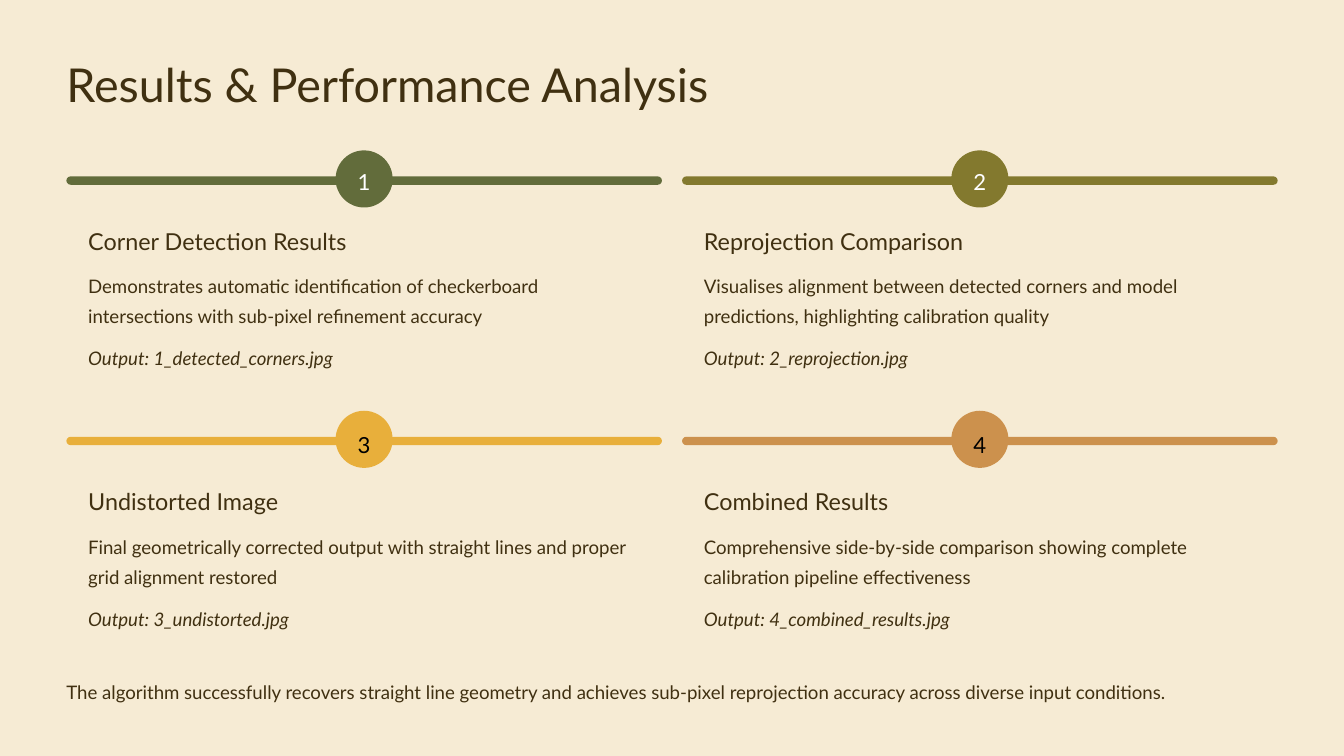
from pptx import Presentation
from pptx.dml.color import RGBColor
from pptx.enum.shapes import MSO_SHAPE
from pptx.enum.text import MSO_ANCHOR, PP_ALIGN
from pptx.util import Inches, Pt

ROUNDED = MSO_SHAPE.ROUNDED_RECTANGLE
TOP = MSO_ANCHOR.TOP
LEFT, CENTER = PP_ALIGN.LEFT, PP_ALIGN.CENTER

THEME = {
    "font": "Lato",
    "paper": "F6EBD4",
    "ink": "403011",
    "light": "FFFFFF",
    "dark": "000000",
    "accents": ["626C3B", "83792E", "E8AF3B", "CC914D"],
    "title": 40,
    "heading": 20,
    "number": 19,
    "body": 16,
}

WIDTH, HEIGHT = 16, 9
MARGIN = 0.79
GUTTER = 0.24
COLUMNS = 2
CARD = (WIDTH - 2 * MARGIN - GUTTER) / COLUMNS
FIRST_ROW, ROW_STEP = 2.1, 3.1
BAR = 0.1
BADGE = 0.68
PADDING = 0.26

RESULTS = [
    ("Corner Detection Results",
     "Demonstrates automatic identification of checkerboard intersections with sub-pixel refinement accuracy",
     "Output: 1_detected_corners.jpg"),
    ("Reprojection Comparison",
     "Visualises alignment between detected corners and model predictions, highlighting calibration quality",
     "Output: 2_reprojection.jpg"),
    ("Undistorted Image",
     "Final geometrically corrected output with straight lines and proper grid alignment restored",
     "Output: 3_undistorted.jpg"),
    ("Combined Results",
     "Comprehensive side-by-side comparison showing complete calibration pipeline effectiveness",
     "Output: 4_combined_results.jpg"),
]

deck = Presentation()
deck.slide_width, deck.slide_height = Inches(WIDTH), Inches(HEIGHT)
page = deck.slides.add_slide(deck.slide_layouts[6])
page.background.fill.solid()
page.background.fill.fore_color.rgb = RGBColor.from_string(THEME["paper"])


def write(text, area, size="body", leading=26, color=THEME["ink"],
          italic=False, align=LEFT, box=None, drop=0):
    if box is None:
        box = page.shapes.add_textbox(*map(Inches, area))
    frame = box.text_frame
    frame.word_wrap = True
    frame.vertical_anchor = TOP
    frame.margin_left = frame.margin_right = frame.margin_bottom = 0
    frame.margin_top = Inches(drop)
    para = frame.paragraphs[0]
    para.alignment = align
    para.line_spacing = Pt(leading)
    span = para.add_run()
    span.text = text
    span.font.name = THEME["font"]
    span.font.size = Pt(THEME[size])
    span.font.italic = italic
    span.font.color.rgb = RGBColor.from_string(color)


def pill(left, top, width, height, color):
    shape = page.shapes.add_shape(ROUNDED, *map(Inches, (left, top, width, height)))
    shape.adjustments[0] = 0.5
    shape.shadow.inherit = False
    shape.fill.solid()
    shape.fill.fore_color.rgb = RGBColor.from_string(color)
    shape.line.fill.background()
    return shape


full_width = WIDTH - 2 * MARGIN
write("Results & Performance Analysis", (MARGIN, 0.62, full_width, 0.69),
      size="title", leading=51)

for index, (heading, description, output) in enumerate(RESULTS):
    row, column = divmod(index, COLUMNS)
    left = MARGIN + column * (CARD + GUTTER)
    top = FIRST_ROW + row * ROW_STEP
    accent = THEME["accents"][index]
    pill(left, top, CARD, BAR, accent)
    badge = pill(left + (CARD - BADGE) / 2, top - 0.31, BADGE, BADGE, accent)
    write(str(index + 1), None, size="number", leading=31, align=CENTER, box=badge,
          color=THEME["dark" if row else "light"], drop=0.03 * row)
    text_left, text_width = left + PADDING, CARD - 2 * PADDING
    write(heading, (text_left, top + 0.59, text_width, 0.34), size="heading", leading=25)
    write(description, (text_left, top + 1.08, text_width, 0.7))
    write(output, (text_left, top + 1.94, text_width, 0.34), italic=True)

write("The algorithm successfully recovers straight line geometry and achieves "
      "sub-pixel reprojection accuracy across diverse input conditions.",
      (MARGIN, 8.01, full_width, 0.34))

deck.save("out.pptx")
